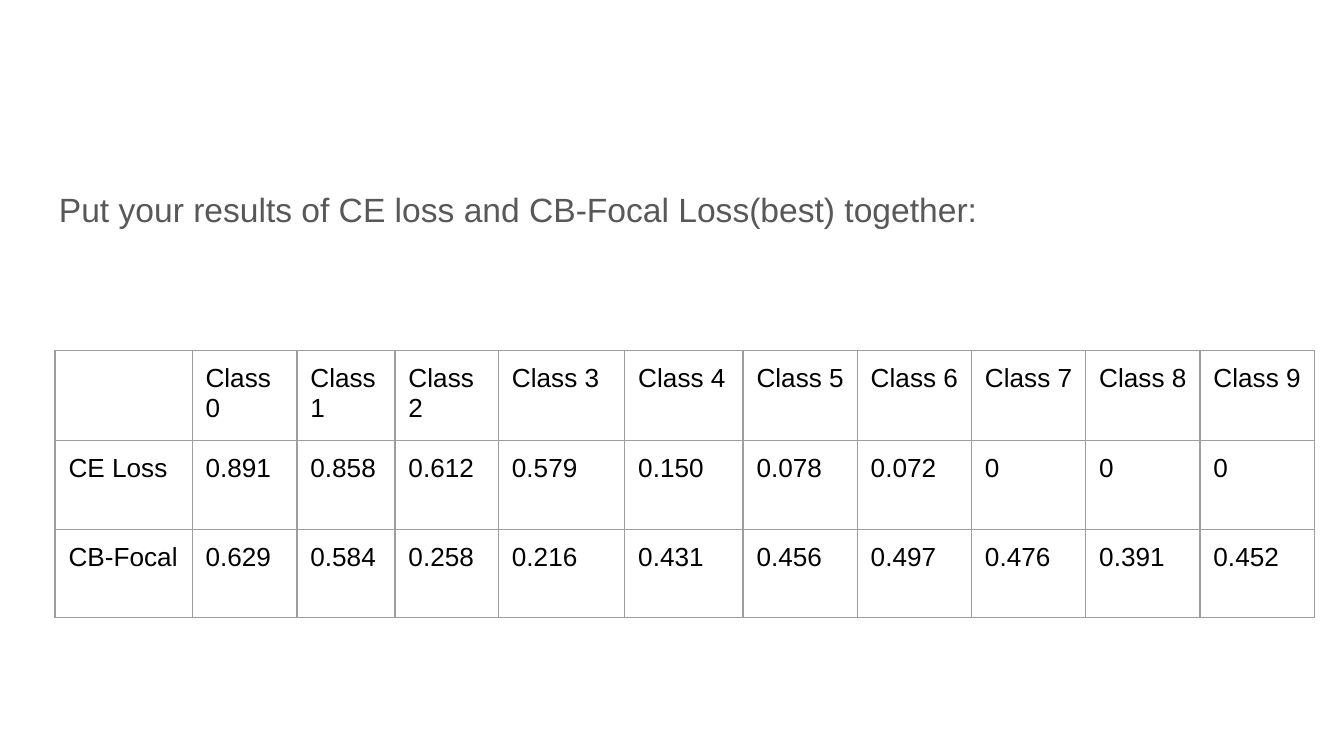
from lxml.etree import SubElement
from pptx import Presentation
from pptx.dml.color import RGBColor
from pptx.enum.text import MSO_ANCHOR
from pptx.oxml.ns import qn
from pptx.util import Inches, Pt

COLORS = {"heading": "585858", "cell": "000000", "border": "9E9E9E"}
SLIDE_WIDTH = 10
INSET = Inches(0.1)
MARGINS = {f"margin_{side}": INSET for side in ("left", "right", "top", "bottom")}
FRAME_FORMAT = {**MARGINS, "word_wrap": True, "vertical_anchor": MSO_ANCHOR.TOP}
CELL_FORMAT = {**MARGINS, "vertical_anchor": MSO_ANCHOR.TOP}
TABLE_FORMAT = {"first_row": False, "horz_banding": False}
HEADING_FONT = {"name": "Arial", "size": Pt(18)}
CELL_FONT = {"name": "Arial", "size": Pt(14)}

COLUMN_WIDTHS = [1.02, 0.78, 0.73, 0.77, 0.94, 0.88] + [0.85] * 5
ROW_HEIGHTS = [0.65, 0.66, 0.66]
RESULTS = [
    ["", "Class \v0", "Class\n1", "Class\v2"] + [f"Class {number}" for number in range(3, 10)],
    ["CE Loss", "0.891", "0.858", "0.612", "0.579", "0.150", "0.078", "0.072", "0", "0", "0"],
    ["CB-Focal", "0.629", "0.584", "0.258", "0.216", "0.431", "0.456", "0.497", "0.476",
     "0.391", "0.452"],
]


def apply_format(target, values):
    for name, value in values.items():
        setattr(target, name, value)


def style_text(text_frame, font_format, color):
    """Format every run, and give line breaks the same size so lines keep their height."""
    for paragraph in text_frame.paragraphs:
        for run in paragraph.runs:
            apply_format(run.font, font_format)
            run.font.color.rgb = RGBColor.from_string(COLORS[color])
        for line_break in paragraph._p.findall(qn("a:br")):
            SubElement(line_break, qn("a:rPr"), sz=str(int(font_format["size"].pt * 100)))


def add_heading(slide, text):
    shape = slide.shapes.add_textbox(Inches(0.34), Inches(1.26), Inches(9.66), Inches(3.7))
    text_frame = shape.text_frame
    apply_format(text_frame, FRAME_FORMAT)
    text_frame.text = text
    text_frame.paragraphs[0].line_spacing = 1.15
    style_text(text_frame, HEADING_FONT, "heading")


def add_borders(cell):
    properties = cell._tc.get_or_add_tcPr()
    for side in ("lnL", "lnR", "lnT", "lnB"):
        line = SubElement(properties, qn(f"a:{side}"), w=str(Pt(0.75)))
        fill = SubElement(line, qn("a:solidFill"))
        SubElement(fill, qn("a:srgbClr"), val=COLORS["border"])


def fill_cell(cell, text):
    if text:
        cell.text = text
        style_text(cell.text_frame, CELL_FONT, "cell")
    apply_format(cell, CELL_FORMAT)
    add_borders(cell)
    cell.fill.background()


def add_results_table(slide):
    frame = slide.shapes.add_table(
        len(ROW_HEIGHTS), len(COLUMN_WIDTHS), Inches(0.41), Inches(2.61),
        Inches(sum(COLUMN_WIDTHS)), Inches(sum(ROW_HEIGHTS)))
    table = frame.table
    apply_format(table, TABLE_FORMAT)
    for column, width in zip(table.columns, COLUMN_WIDTHS):
        column.width = Inches(width)
    for row, height, texts in zip(table.rows, ROW_HEIGHTS, RESULTS):
        row.height = Inches(height)
        for cell, text in zip(row.cells, texts):
            fill_cell(cell, text)


def main():
    presentation = Presentation()
    presentation.slide_width = Inches(SLIDE_WIDTH)
    presentation.slide_height = Inches(SLIDE_WIDTH * 9 / 16)
    slide = presentation.slides.add_slide(presentation.slide_layouts[6])
    add_heading(slide, "Put your results of CE loss and CB-Focal Loss(best) together:")
    add_results_table(slide)
    presentation.save("out.pptx")


if __name__ == "__main__":
    main()
